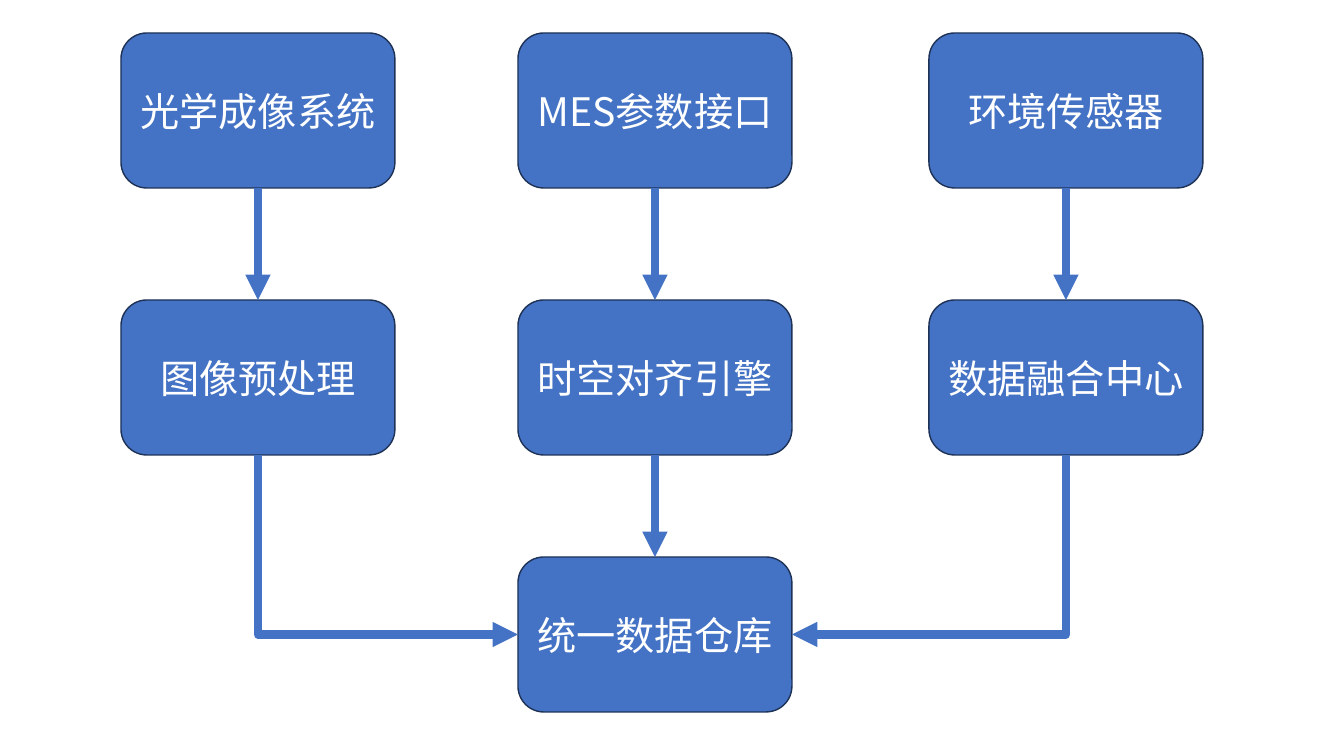
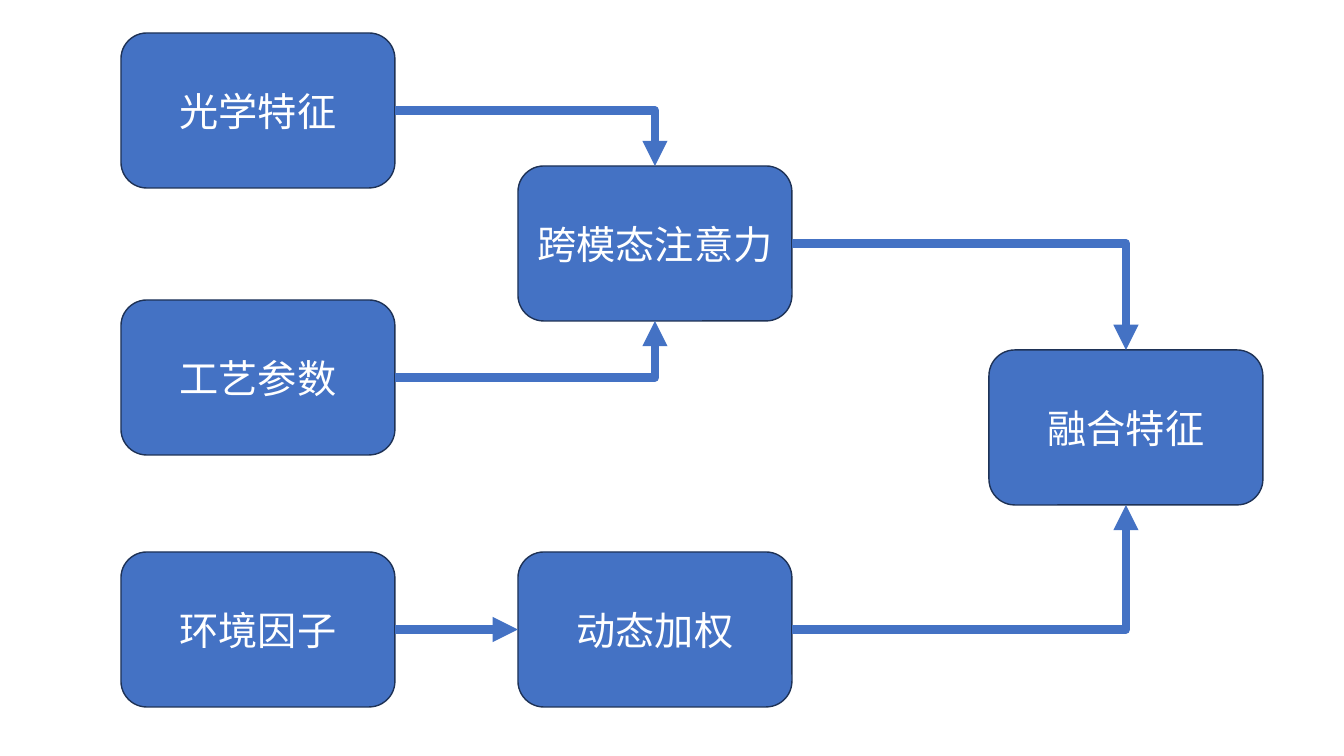
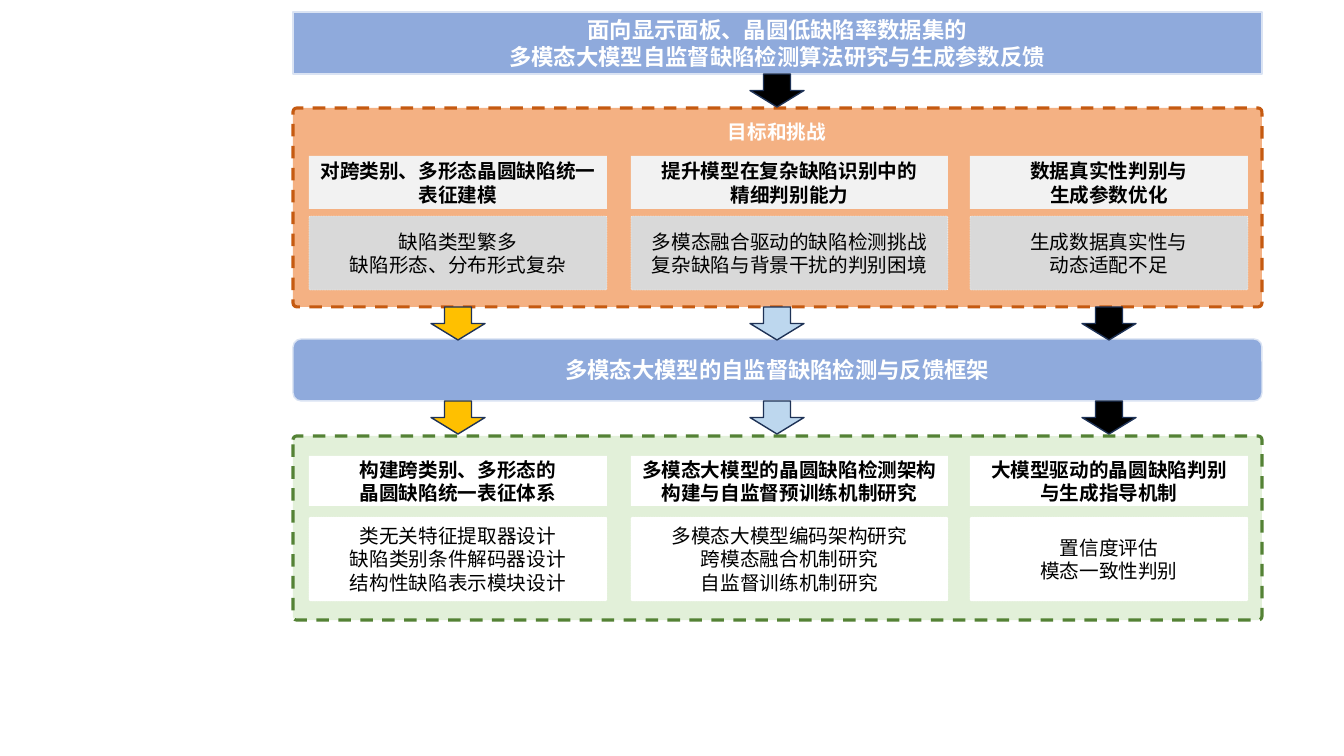
from dataclasses import dataclass

from lxml.etree import SubElement
from pptx import Presentation
from pptx.dml.color import RGBColor
from pptx.enum.dml import MSO_LINE
from pptx.enum.shapes import MSO_CONNECTOR, MSO_SHAPE
from pptx.enum.text import MSO_ANCHOR, MSO_AUTO_SIZE, PP_ALIGN
from pptx.oxml.ns import qn
from pptx.util import Pt

EMU_PER_PX = 914400 / 100.8
SLIDE_SIZE = 1344, 756


@dataclass(frozen=True)
class Theme:
    font: str = "Noto Sans CJK SC"
    white: str = "FFFFFF"
    black: str = "000000"
    blue: str = "4472C4"
    outline: str = "1E3256"
    band: str = "8FAADC"
    band_line: str = "DAE3F3"
    orange: str = "F4B183"
    orange_line: str = "C55A11"
    green: str = "E2F0D9"
    green_line: str = "548235"
    light_grey: str = "F2F2F2"
    grey: str = "D9D9D9"
    yellow: str = "FFC000"
    pale_blue: str = "BDD7EE"
    node_size: int = 28
    band_size: int = 16
    body_size: int = 14
    flow_width: int = 6


THEME = Theme()

# Flow charts: nodes as text -> (left, top), links as (from, side, to, side)
NODE_SIZE = 274, 155
LEFT, MIDDLE, RIGHT, FAR_RIGHT = 121, 518, 929, 989
FIRST_ROW, SECOND_ROW = 33, 300
SITES = {"top": 0, "left": 1, "bottom": 2, "right": 3}

FLOWS = [
    {
        "nodes": {
            "光学成像系统": (LEFT, FIRST_ROW),
            "MES参数接口": (MIDDLE, FIRST_ROW),
            "环境传感器": (RIGHT, FIRST_ROW),
            "图像预处理": (LEFT, SECOND_ROW),
            "时空对齐引擎": (MIDDLE, SECOND_ROW),
            "数据融合中心": (RIGHT, SECOND_ROW),
            "统一数据仓库": (MIDDLE, 557),
        },
        "links": [
            ("光学成像系统", "bottom", "图像预处理", "top"),
            ("MES参数接口", "bottom", "时空对齐引擎", "top"),
            ("环境传感器", "bottom", "数据融合中心", "top"),
            ("时空对齐引擎", "bottom", "统一数据仓库", "top"),
            ("图像预处理", "bottom", "统一数据仓库", "left"),
            ("数据融合中心", "bottom", "统一数据仓库", "right"),
        ],
    },
    {
        "nodes": {
            "光学特征": (LEFT, FIRST_ROW),
            "工艺参数": (LEFT, SECOND_ROW),
            "环境因子": (LEFT, 552),
            "跨模态注意力": (MIDDLE, 166),
            "动态加权": (MIDDLE, 552),
            "融合特征": (FAR_RIGHT, 350),
        },
        "links": [
            ("环境因子", "right", "动态加权", "left"),
            ("光学特征", "right", "跨模态注意力", "top"),
            ("工艺参数", "right", "跨模态注意力", "bottom"),
            ("跨模态注意力", "right", "融合特征", "top"),
            ("动态加权", "right", "融合特征", "bottom"),
        ],
    },
]

# Framework slide
FRAME_LEFT, FRAME_WIDTH = 293, 969
FRAME_CENTER = FRAME_LEFT + FRAME_WIDTH // 2
BAND_HEIGHT = 62
BAND_ROUNDING, PANEL_ROUNDING = 0.13, 0.02
ARROW_SIZE = 54, 33
COLUMNS = [(309, 298), (631, 317), (970, 278)]
ARROW_CENTERS = [458, FRAME_CENTER, 1109]
ARROW_FILLS = [THEME.yellow, THEME.pale_blue, THEME.black]
ARROW_TOPS = [307, 401]
TITLE = ["面向显示面板、晶圆低缺陷率数据集的", "多模态大模型自监督缺陷检测算法研究与生成参数反馈"]
TITLE_TOP, MIDDLE_BAND_TOP = 12, 339
MIDDLE_BAND = ["多模态大模型的自监督缺陷检测与反馈框架"]
GOALS_LABEL = ["目标和挑战"]

PANELS = [
    {
        "span": (108, 199), "fill": THEME.orange, "line": THEME.orange_line,
        "head": (156, 53), "head_fill": THEME.light_grey,
        "body": (216, 74), "body_fill": THEME.grey,
        "cells": [
            (["对跨类别、多形态晶圆缺陷统一表征建模"],
             ["缺陷类型繁多", "缺陷形态、分布形式复杂"]),
            (["提升模型在复杂缺陷识别中的", "精细判别能力"],
             ["多模态融合驱动的缺陷检测挑战", "复杂缺陷与背景干扰的判别困境"]),
            (["数据真实性判别与", "生成参数优化"],
             ["生成数据真实性与", "动态适配不足"]),
        ],
    },
    {
        "span": (436, 184), "fill": THEME.green, "line": THEME.green_line,
        "head": (456, 50), "head_fill": THEME.white,
        "body": (517, 84), "body_fill": THEME.white,
        "cells": [
            (["构建跨类别、多形态的", "晶圆缺陷统一表征体系"],
             ["类无关特征提取器设计", "缺陷类别条件解码器设计", "结构性缺陷表示模块设计"]),
            (["多模态大模型的晶圆缺陷检测架构构建与自监督预训练机制研究"],
             ["多模态大模型编码架构研究", "跨模态融合机制研究", "自监督训练机制研究"]),
            (["大模型驱动的晶圆缺陷判别", "与生成指导机制"],
             ["置信度评估", "模态一致性判别"]),
        ],
    },
]


def px(length):
    return round(length * EMU_PER_PX)


def rgb(color):
    return RGBColor.from_string(color)


def write(shape, lines, size, color, bold=False):
    frame = shape.text_frame
    frame.word_wrap = True
    frame.auto_size = MSO_AUTO_SIZE.NONE
    frame.vertical_anchor = MSO_ANCHOR.MIDDLE
    for index, line in enumerate(lines):
        para = frame.add_paragraph() if index else frame.paragraphs[0]
        para.text = line
        para.alignment = PP_ALIGN.CENTER
        font = para.font
        font.name, font.size, font.bold = THEME.font, Pt(size), bold
        font.color.rgb = rgb(color)
        defaults = para._p.pPr.find(qn("a:defRPr"))
        SubElement(defaults, qn("a:ea"), typeface=THEME.font)


def paint(shape, fill, line=None, width=1, dashed=False):
    shape.fill.solid()
    shape.fill.fore_color.rgb = rgb(fill)
    if line is None:
        shape.line.fill.background()
        return
    shape.line.color.rgb = rgb(line)
    shape.line.width = Pt(width)
    if dashed:
        shape.line.dash_style = MSO_LINE.DASH


def add_box(slide, kind, area, fill, line=None, width=1, dashed=False, rounding=None):
    box = slide.shapes.add_shape(kind, *map(px, area))
    box.shadow.inherit = False
    paint(box, fill, line, width, dashed)
    if rounding is not None:
        box.adjustments[0] = rounding
    return box


def turn_vertical_first(connector):
    """Rotate a one-bend connector that runs down, so it leaves vertically."""
    start_x, start_y = connector.begin_x, connector.begin_y
    end_x, end_y = connector.end_x, connector.end_y
    width, height = abs(end_y - start_y), abs(end_x - start_x)
    connector.left = (start_x + end_x - width) // 2
    connector.top = (start_y + end_y - height) // 2
    connector.width, connector.height = width, height
    to_right = end_x > start_x
    frame = connector.element.spPr.find(qn("a:xfrm"))
    frame.set("rot", str((270 if to_right else 90) * 60000))
    frame.set("flipH", str(int(to_right)))


def add_link(slide, start, start_side, end, end_side):
    straight = {start_side, end_side} in ({"top", "bottom"}, {"left", "right"})
    kind = MSO_CONNECTOR.STRAIGHT if straight else MSO_CONNECTOR.ELBOW
    connector = slide.shapes.add_connector(kind, 0, 0, 0, 0)
    connector.begin_connect(start, SITES[start_side])
    connector.end_connect(end, SITES[end_side])
    properties = connector.element.spPr
    if not straight:
        properties.find(qn("a:prstGeom")).set("prst", "bentConnector2")
        if start_side == "bottom":
            turn_vertical_first(connector)
    connector.line.color.rgb = rgb(THEME.blue)
    connector.line.width = Pt(THEME.flow_width)
    SubElement(properties.find(qn("a:ln")), qn("a:tailEnd"), type="triangle")
    SubElement(properties, qn("a:effectLst"))


def build_flow(deck, flow):
    slide = deck.slides.add_slide(deck.slide_layouts.get_by_name("Blank"))
    boxes = {}
    for text, place in flow["nodes"].items():
        boxes[text] = add_box(slide, MSO_SHAPE.ROUNDED_RECTANGLE, place + NODE_SIZE,
                              THEME.blue, THEME.outline)
        write(boxes[text], [text], THEME.node_size, THEME.white)
    for start, start_side, end, end_side in flow["links"]:
        add_link(slide, boxes[start], start_side, boxes[end], end_side)


def format_title(slide):
    """Shape the title placeholder as a rounded band."""
    title = slide.shapes.title
    area = FRAME_LEFT, TITLE_TOP, FRAME_WIDTH, BAND_HEIGHT
    title.left, title.top, title.width, title.height = map(px, area)
    geometry = SubElement(title.element.spPr, qn("a:prstGeom"), prst="roundRect")
    SubElement(geometry, qn("a:avLst"))
    title.adjustments[0] = BAND_ROUNDING
    paint(title, THEME.band, THEME.band_line)
    write(title, TITLE, THEME.band_size, THEME.white, bold=True)


def add_arrow(slide, center, top, fill):
    width, height = ARROW_SIZE
    add_box(slide, MSO_SHAPE.DOWN_ARROW, (center - width // 2, top, width, height),
            fill, THEME.outline)


def add_panel(slide, panel):
    top, height = panel["span"]
    add_box(slide, MSO_SHAPE.ROUNDED_RECTANGLE, (FRAME_LEFT, top, FRAME_WIDTH, height),
            panel["fill"], panel["line"], 2.25, dashed=True, rounding=PANEL_ROUNDING)
    head_top, head_height = panel["head"]
    body_top, body_height = panel["body"]
    for (left, width), (head_lines, body_lines) in zip(COLUMNS, panel["cells"]):
        head = add_box(slide, MSO_SHAPE.RECTANGLE, (left, head_top, width, head_height),
                       panel["head_fill"])
        write(head, head_lines, THEME.body_size, THEME.black, bold=True)
        body = add_box(slide, MSO_SHAPE.ROUNDED_RECTANGLE,
                       (left, body_top, width, body_height), panel["body_fill"],
                       THEME.white, 0.25, dashed=True, rounding=PANEL_ROUNDING)
        write(body, body_lines, THEME.body_size, THEME.black)


def build_framework(deck):
    slide = deck.slides.add_slide(deck.slide_layouts.get_by_name("Title Only"))
    format_title(slide)
    for panel in PANELS:
        add_panel(slide, panel)
    label = slide.shapes.add_textbox(*map(px, (FRAME_CENTER - 63, 115, 126, 34)))
    write(label, GOALS_LABEL, THEME.body_size, THEME.white, bold=True)
    band = add_box(slide, MSO_SHAPE.ROUNDED_RECTANGLE,
                   (FRAME_LEFT, MIDDLE_BAND_TOP, FRAME_WIDTH, BAND_HEIGHT),
                   THEME.band, THEME.band_line, rounding=BAND_ROUNDING)
    write(band, MIDDLE_BAND, THEME.band_size, THEME.white, bold=True)
    add_arrow(slide, FRAME_CENTER, TITLE_TOP + BAND_HEIGHT, THEME.black)
    for top in ARROW_TOPS:
        for center, fill in zip(ARROW_CENTERS, ARROW_FILLS):
            add_arrow(slide, center, top, fill)


def main():
    deck = Presentation()
    deck.slide_width, deck.slide_height = map(px, SLIDE_SIZE)
    for flow in FLOWS:
        build_flow(deck, flow)
    build_framework(deck)
    deck.save("out.pptx")


if __name__ == "__main__":
    main()
